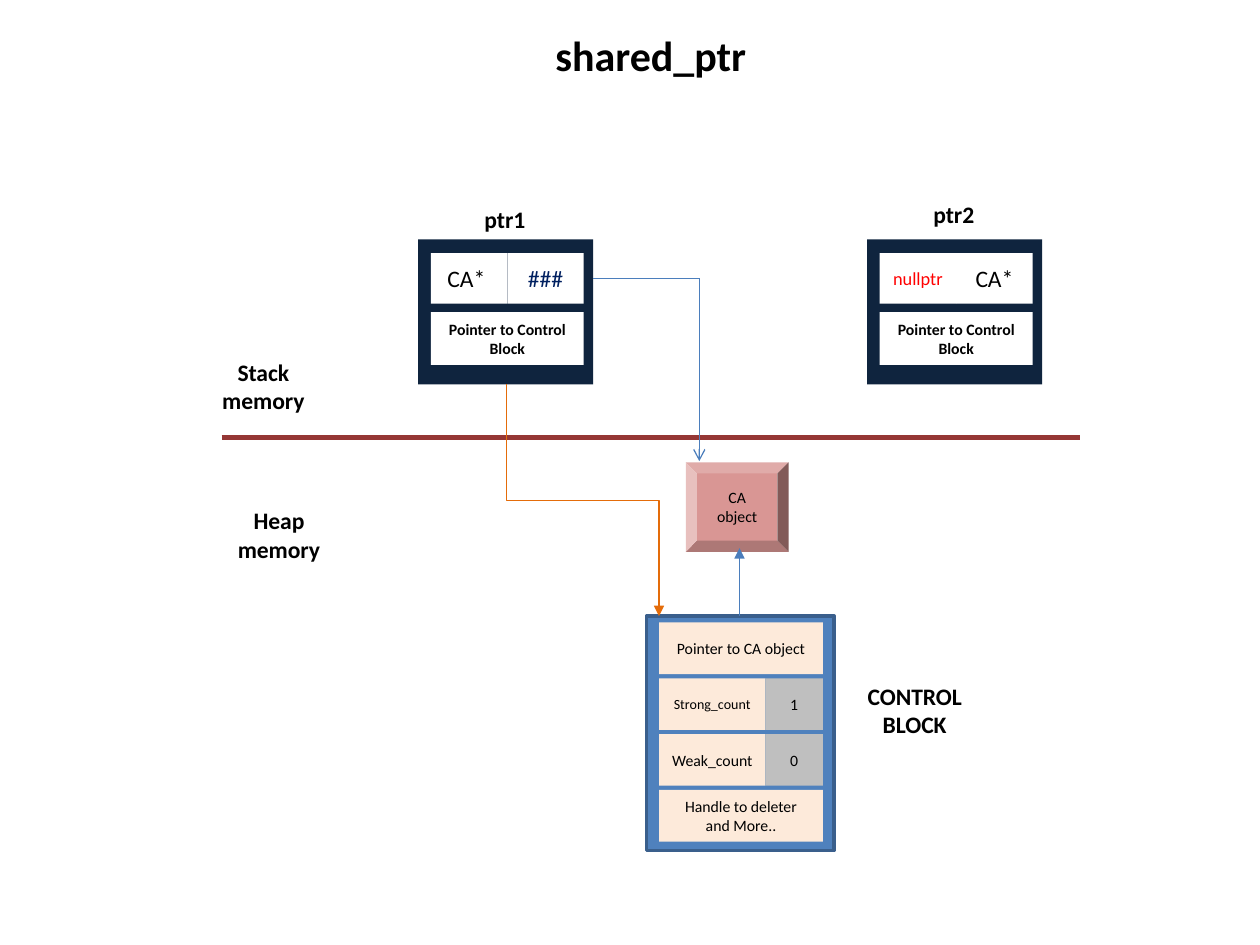
import pptx
import pptx.dml.color
import pptx.enum.shapes
import pptx.enum.text
import pptx.oxml
import pptx.util

Pt = pptx.util.Pt
RGBColor = pptx.dml.color.RGBColor
SHAPE = pptx.enum.shapes.MSO_SHAPE
CONNECTOR = pptx.enum.shapes.MSO_CONNECTOR
ANCHOR = pptx.enum.text.MSO_ANCHOR
CENTER = pptx.enum.text.PP_ALIGN.CENTER

FONT = "Calibri"
BLACK = RGBColor(0x00, 0x00, 0x00)
WHITE = RGBColor(0xFF, 0xFF, 0xFF)
RED = RGBColor(0xFF, 0x00, 0x00)
INDIGO = RGBColor(0x00, 0x20, 0x60)
NAVY = RGBColor(0x0F, 0x24, 0x3E)
PINK = RGBColor(0xD9, 0x96, 0x94)
BLUE = RGBColor(0x4F, 0x81, 0xBD)
BLUE_EDGE = RGBColor(0x3A, 0x5F, 0x8C)
BLUE_ARROW = RGBColor(0x4B, 0x7E, 0xBC)
CREAM = RGBColor(0xFD, 0xEA, 0xDA)
GRAY = RGBColor(0xBF, 0xBF, 0xBF)
MAROON = RGBColor(0x95, 0x37, 0x35)
ORANGE = RGBColor(0xE4, 0x6C, 0x0A)

TITLE = "shared_ptr"
POINTERS = [
    (495.5, [("nullptr", 10.5, RED), ("CA*", 13.5, BLACK)]),
    (239, [("CA* ", 13.5, BLACK), ("###", 13.5, INDIGO)]),
]
POINTER_NOTE = "Pointer to Control Block"
CONTROL_ROWS = [
    [("Pointer to CA object", 9)],
    [("Strong_count", 8), ("1", 9)],
    [("Weak_count", 9), ("0", 9)],
    [("Handle to deleter\nand More..", 9)],
]
LABELS = [
    ("CONTROL BLOCK", 483.8, 385.9, 77.8, 40.3),
    ("Stack memory", 111.6, 200.9, 77.8, 40.3),
    ("Heap memory", 120.5, 285.8, 77.8, 40.3),
    ("ptr1", 268.4, 113.8, 40.3, 23.8),
    ("ptr2", 524.9, 110.9, 40.3, 23.8),
]
STRAIGHT_LINES = [
    (126.7, 249.8, 617, 249.8, MAROON, 3, None),
    (339.1, 159.1, 399.6, 159.1, BLUE_ARROW, 0.75, None),
    (399.6, 159.1, 399.6, 263.5, BLUE_ARROW, 0.75, "arrow"),
    (422.6, 352.1, 422.6, 313.2, BLUE_ARROW, 0.75, "triangle"),
]

POINTER_TOP, POINTER_WIDTH, POINTER_HEIGHT = 136.8, 100, 82.8
CELL_WIDTH = 43.7
BLOCK_LEFT, BLOCK_TOP, BLOCK_WIDTH, BLOCK_HEIGHT = 369.4, 352.1, 107.3, 133.9
ROW_LEFT, ROW_TOP, ROW_HEIGHT, ROW_PITCH = 376.6, 355.7, 29.5, 31.9
NAME_WIDTH, ROW_WIDTH = 60.8, 93.6


def write(frame, text, size, color=BLACK, bold=False):
    frame.text = text
    frame.word_wrap = True
    for paragraph in frame.paragraphs:
        paragraph.alignment = CENTER
        for run in paragraph.runs:
            run.font.name = FONT
            run.font.size = Pt(size)
            run.font.bold = bold
            run.font.color.rgb = color


def add_box(box, fill, text="", size=9, color=BLACK, bold=False,
            kind=SHAPE.RECTANGLE):
    shape = slide.shapes.add_shape(kind, *map(Pt, box))
    shape.shadow.inherit = False
    shape.fill.solid()
    shape.fill.fore_color.rgb = fill
    shape.line.fill.background()
    shape.text_frame.vertical_anchor = ANCHOR.MIDDLE
    if text:
        write(shape.text_frame, text, size, color, bold)
    return shape


def add_line(x1, y1, x2, y2, color, width, head, kind=CONNECTOR.STRAIGHT):
    line = slide.shapes.add_connector(kind, Pt(x1), Pt(y1), Pt(x2), Pt(y2))
    line.line.color.rgb = color
    line.line.width = Pt(width)
    namespace = 'xmlns:a="http://schemas.openxmlformats.org/drawingml/2006/main"'
    if head:
        line.line._get_or_add_ln().append(
            pptx.oxml.parse_xml(f'<a:tailEnd {namespace} type="{head}"/>'))
    line._element.spPr.append(
        pptx.oxml.parse_xml(f"<a:effectLst {namespace}/>"))
    return line


def add_vertical_elbow(x1, y1, x2, y2, color, width, head):
    across, down = x2 - x1, y2 - y1
    left = (x1 + x2 - down) / 2
    top = (y1 + y2 - across) / 2
    elbow = add_line(left, top, left + down, top + across, color, width, head,
                     CONNECTOR.ELBOW)
    elbow._element.spPr.xfrm.set("rot", "16200000")
    elbow._element.spPr.xfrm.set("flipH", "1")


presentation = pptx.Presentation()
presentation.slide_width = Pt(720)
presentation.slide_height = Pt(540)
slide = presentation.slides.add_slide(presentation.slide_layouts[5])

title = slide.shapes.title
title.left, title.top, title.width, title.height = map(Pt, (302.4, 13, 139, 36))
title.text_frame.vertical_anchor = ANCHOR.MIDDLE
write(title.text_frame, TITLE, 24, bold=True)

for left, cells in POINTERS:
    add_box((left, POINTER_TOP, POINTER_WIDTH, POINTER_HEIGHT), NAVY)
    inner_left = left + 7.2
    for column, (text, size, color) in enumerate(cells):
        add_box((inner_left + column * CELL_WIDTH, POINTER_TOP + 7.9,
                 CELL_WIDTH, 28.8), WHITE, text, size, color)
    add_box((inner_left, POINTER_TOP + 41.5, 2 * CELL_WIDTH, 30.2), WHITE,
            POINTER_NOTE, bold=True)

add_box((391.9, 264.2, 58.8, 51.1), PINK, "CA object", kind=SHAPE.BEVEL)

control_block = add_box((BLOCK_LEFT, BLOCK_TOP, BLOCK_WIDTH, BLOCK_HEIGHT), BLUE)
control_block.line.color.rgb = BLUE_EDGE
control_block.line.width = Pt(2)
for index, row in enumerate(CONTROL_ROWS):
    top = ROW_TOP + index * ROW_PITCH
    (name, size), *count = row
    name_width = NAME_WIDTH if count else ROW_WIDTH
    add_box((ROW_LEFT, top, name_width, ROW_HEIGHT), CREAM, name, size)
    for value, value_size in count:
        add_box((ROW_LEFT + NAME_WIDTH, top, ROW_WIDTH - NAME_WIDTH, ROW_HEIGHT),
                GRAY, value, value_size)

for line in STRAIGHT_LINES:
    add_line(*line)
add_vertical_elbow(289.4, 219.6, 376.6, 352.1, ORANGE, 0.75, "triangle")

for text, *box in LABELS:
    label = slide.shapes.add_textbox(*map(Pt, box))
    write(label.text_frame, text, 13.5, bold=True)

presentation.save("out.pptx")
